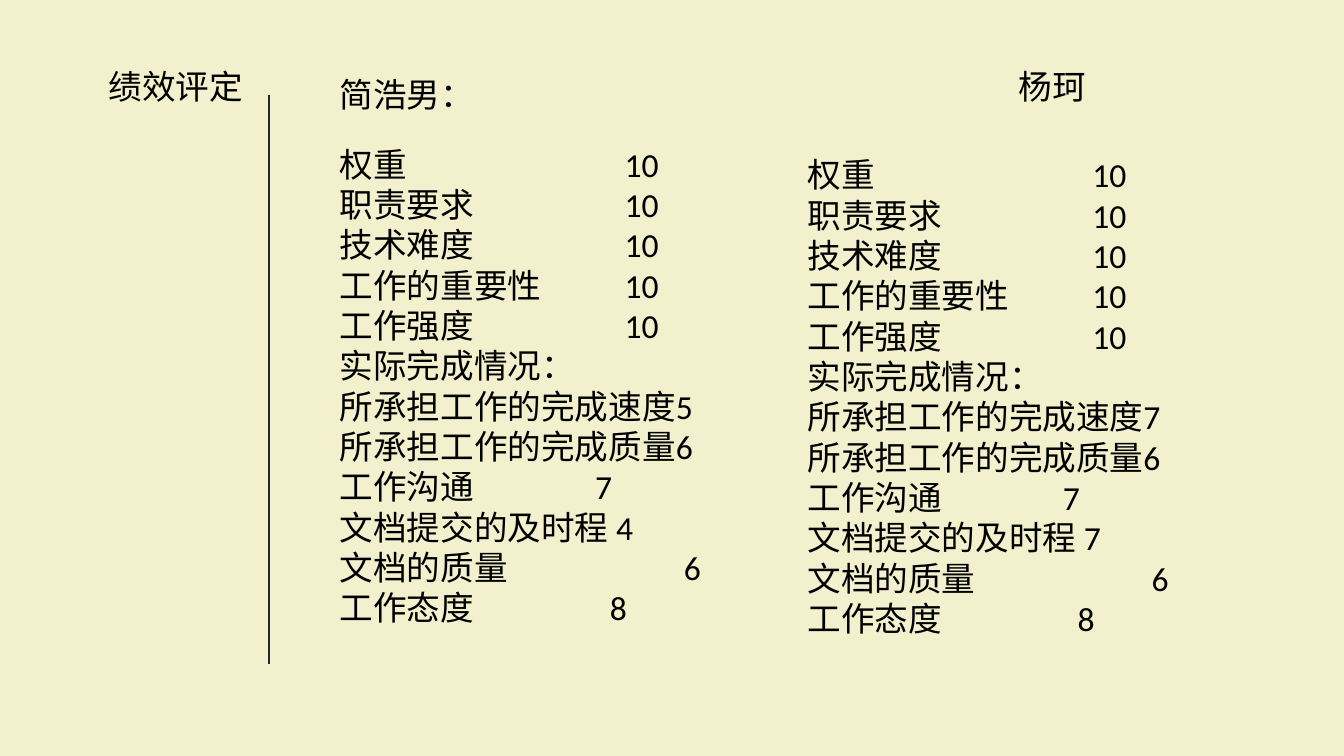
from lxml import etree
from pptx import Presentation
from pptx.dml.color import RGBColor
from pptx.enum import shapes, text
from pptx.oxml import ns
from pptx.util import Inches, Pt

COLORS = {"background": "F3F0CD", "text": "000000", "line": "262626"}

deck = Presentation()
deck.slide_width = Inches(10)
deck.slide_height = deck.slide_width * 9 // 16
page = deck.slides.add_slide(deck.slide_layouts[6])
page.background.fill.solid()
page.background.fill.fore_color.rgb = RGBColor.from_string(COLORS["background"])


def add_text(lines, left, top, width, height=0.4, wrap=False, size=18, font="Calibri"):
    box = page.shapes.add_textbox(Inches(left), Inches(top), Inches(width), Inches(height))
    frame = box.text_frame
    frame.word_wrap = wrap
    frame.auto_size = text.MSO_AUTO_SIZE.SHAPE_TO_FIT_TEXT
    for index, (line, tab) in enumerate(lines):
        para = frame.paragraphs[0] if index == 0 else frame.add_paragraph()
        span = para.add_run()
        span.text = line
        span.font.size = Pt(size)
        span.font.name = font
        span.font.color.rgb = RGBColor.from_string(COLORS["text"])
        if tab:
            stops = etree.SubElement(para._p.get_or_add_pPr(), ns.qn("a:tabLst"))
            etree.SubElement(stops, ns.qn("a:tab"), pos=str(Inches(tab)), algn="l")


def add_divider(top):
    divider = page.shapes.add_connector(
        shapes.MSO_CONNECTOR.STRAIGHT, Inches(2), Inches(top), Inches(2), Inches(top + 3.98))
    divider.line.color.rgb = RGBColor.from_string(COLORS["line"])
    divider.line.width = Pt(1.25)
    etree.SubElement(divider._element.spPr, ns.qn("a:effectLst"))


weights = [(f"{name}\t10", 2.12) for name in
           ("权重", "职责要求", "技术难度", "工作的重要性", "工作强度")]

add_divider(0.71)
add_text([("绩效评定", None)], 0.71, 0.44, 1.2)
add_divider(0.96)

for person, name_left, name_top, name_width, left, top, height, speed, timeliness in (
    ("简浩男：", 2.43, 0.5, 1.2, 2.43, 1.02, 4, 5, 4),
    ("杨珂", 7.48, 0.44, 0.7, 5.91, 1.1, 3.7, 7, 7),
):
    add_text([(person, None)], name_left, name_top, name_width)
    results = [
        ("实际完成情况：", None),
        (f"所承担工作的完成速度{speed}", None),
        ("所承担工作的完成质量6", None),
        ("工作沟通\t7", 1.9),
        (f"文档提交的及时程 {timeliness}", None),
        ("文档的质量\t6", 2.56),
        ("工作态度\t8", 2.01),
    ]
    add_text(weights + results, left, top, 3.2, height, wrap=True)

deck.save("out.pptx")
